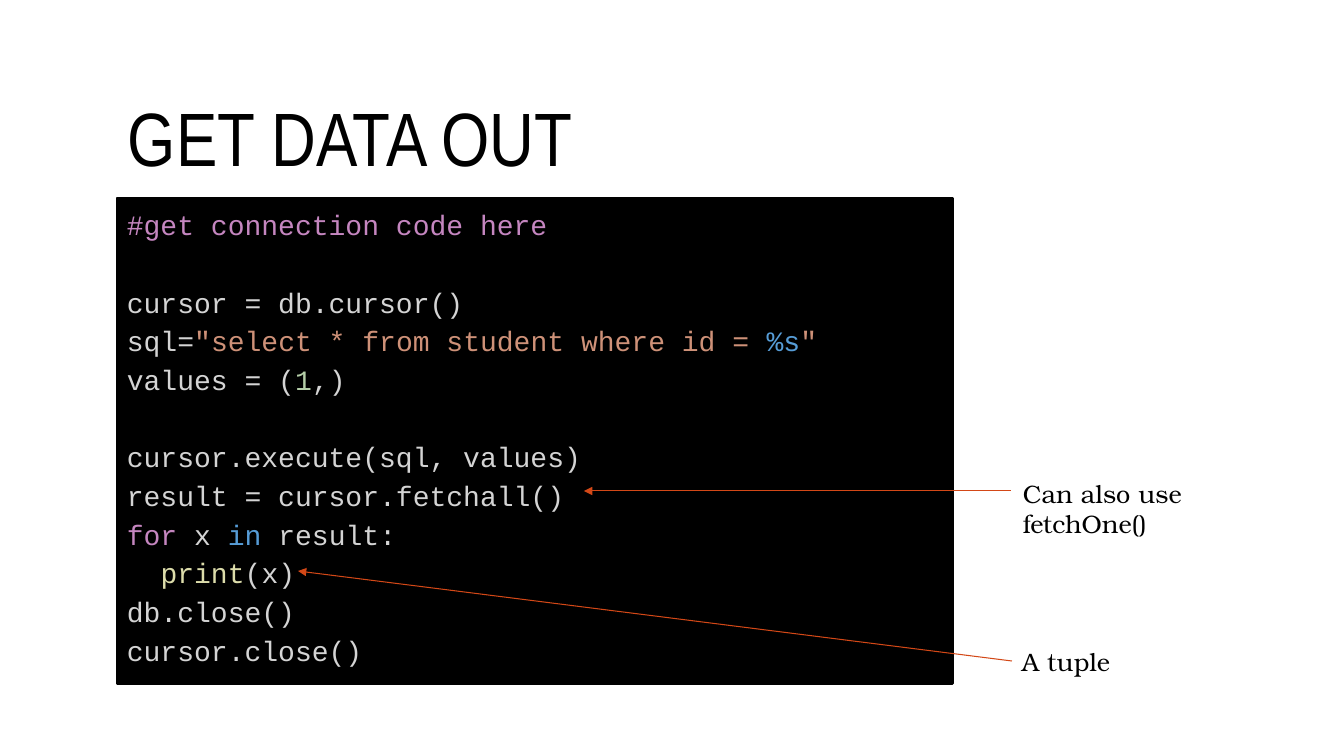
from pptx import Presentation
from pptx.dml.color import RGBColor
from pptx.enum.shapes import MSO_CONNECTOR, MSO_SHAPE
from pptx.enum.text import MSO_ANCHOR, PP_ALIGN
from pptx.oxml.ns import qn
from pptx.util import Pt
from lxml import etree

STRAIGHT = MSO_CONNECTOR.STRAIGHT
RECTANGLE = MSO_SHAPE.RECTANGLE
TOP, MIDDLE = MSO_ANCHOR.TOP, MSO_ANCHOR.MIDDLE
LEFT = PP_ALIGN.LEFT
PX = 914400 / 100.8
LINE_PITCH = 27.6
COLORS = {
    "black": "000000",
    "plain": "D4D4D4",
    "keyword": "C586C0",
    "string": "CE9178",
    "blue": "569CD6",
    "number": "B5CEA8",
    "function": "DCDCAA",
    "arrow": "D34817",
}


def px(*values):
    return [round(v * PX) for v in values]


def add_run(p, text, font="Courier New", size=20, color="plain"):
    r = p.add_run()
    r.text = text
    r.font.name = font
    r.font.size = Pt(size)
    r.font.color.rgb = RGBColor.from_string(COLORS[color])


prs = Presentation()
prs.slide_width, prs.slide_height = px(1344, 756)
s = prs.slides.add_slide(prs.slide_layouts[6])

code = s.shapes.add_shape(RECTANGLE, *px(117, 198, 836, 486))
code.shadow.inherit = False
code.fill.solid()
code.fill.fore_color.rgb = RGBColor.from_string(COLORS["black"])
code.line.color.rgb = RGBColor.from_string(COLORS["black"])
code.line.width = Pt(2)
tf = code.text_frame
tf.word_wrap = True
tf.vertical_anchor = TOP

lines = [
    (0, [("#get connection code here", "keyword")]),
    (1, [("cursor = db.cursor()", "plain")]),
    (0, [("sql=", "plain"), ('"select * from student where id = ', "string"),
         ("%s", "blue"), ('"', "string")]),
    (0, [("values = (", "plain"), ("1", "number"), (",)", "plain")]),
    (1, [("cursor.execute(sql, values)", "plain")]),
    (0, [("result = cursor.fetchall()", "plain")]),
    (0, [("for", "keyword"), (" x ", "plain"), ("in", "blue"), (" result:", "plain")]),
    (0, [("  ", "plain"), ("print", "function"), ("(x)", "plain")]),
    (0, [("db.close()", "plain")]),
    (0, [("cursor.close()", "plain")]),
]
for i, (gap, parts) in enumerate(lines):
    p = tf.paragraphs[0] if i == 0 else tf.add_paragraph()
    p.alignment = LEFT
    p.line_spacing = Pt(LINE_PITCH)
    p.space_before = Pt(gap * LINE_PITCH)
    for text, color in parts:
        add_run(p, text, color=color)

labels = [
    ("GET DATA OUT", (118, 53, 1109, 177), "Arial Narrow", 54, MIDDLE, 0.9),
    ("Can also use fetchOne()", (1013, 473, 268, 71), "TeX Gyre Bonum", 18, TOP, 1.0),
    ("A tuple", (1012, 641, 215, 40), "TeX Gyre Bonum", 18, TOP, 1.0),
]
boxes = {}
for text, place, font, size, anchor, spacing in labels:
    box = s.shapes.add_textbox(*px(*place))
    tf = box.text_frame
    tf.word_wrap = True
    tf.vertical_anchor = anchor
    p = tf.paragraphs[0]
    p.line_spacing = spacing
    add_run(p, text, font=font, size=size, color="black")
    boxes[text] = box

arrows = [
    ((1011, 491, 584, 491), None),
    ((1012, 661, 298, 571), boxes["A tuple"]),
]
for ends, label in arrows:
    arrow = s.shapes.add_connector(STRAIGHT, *px(*ends))
    if label is not None:
        arrow.begin_connect(label, 1)
    arrow.line.color.rgb = RGBColor.from_string(COLORS["arrow"])
    arrow.line.width = Pt(0.75)
    etree.SubElement(arrow.line._get_or_add_ln(), qn("a:tailEnd"), type="triangle")
    etree.SubElement(arrow._element.spPr, qn("a:effectLst"))

prs.save("out.pptx")
